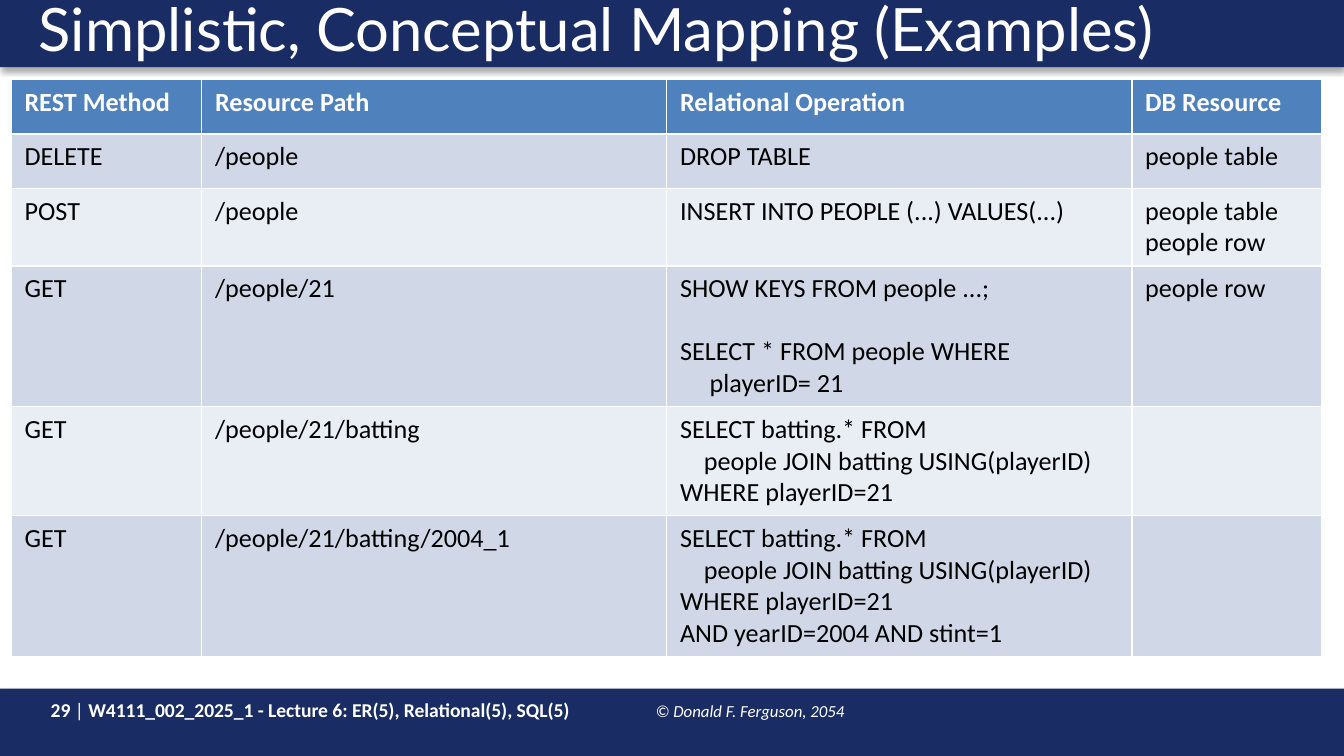
from dataclasses import dataclass

from lxml import etree
from pptx import Presentation
from pptx.dml.color import RGBColor as RGB
from pptx.enum.shapes import MSO_SHAPE as Shape
from pptx.enum.text import MSO_ANCHOR as Anchor
from pptx.oxml.ns import qn
from pptx.util import Cm, Pt


@dataclass(frozen=True)
class Theme:
    navy: RGB = RGB.from_string("1A2C64")
    white: RGB = RGB.from_string("FFFFFF")
    black: RGB = RGB.from_string("000000")
    header: RGB = RGB.from_string("4F81BD")
    bands: tuple = (RGB.from_string("D0D8E8"), RGB.from_string("E9EDF4"))
    title_font: str = "Lato"
    body_font: str = "Calibri"
    title_size: Pt = Pt(32)
    table_size: Pt = Pt(14)
    footer_size: Pt = Pt(10.5)
    credit_size: Pt = Pt(9)


THEME = Theme()
WIDTH, HEIGHT = Cm(25.4), Cm(14.28)
BAR_HEIGHT = Cm(1.27)
COLUMN_WIDTHS = (3.6, 8.79, 8.79, 3.6)
ROW_HEIGHTS = (1.03, 1.03, 1.46, 2.66, 2.06, 2.66)
HEADINGS = ("REST Method", "Resource Path", "Relational Operation", "DB Resource")


@dataclass(frozen=True)
class Line:
    """One line of a cell, with its indent in cm and the space above it."""
    text: str
    indent: float = 0
    space_before: Pt = Pt(0)


BATTING_JOIN = (
    "SELECT batting.* FROM",
    Line("people JOIN batting USING(playerID)", indent=0.45),
    "WHERE playerID=21",
)
KEY_LOOKUP = (
    "SHOW KEYS FROM people ...;",
    Line("SELECT * FROM people WHERE", space_before=Pt(17)),
    Line("playerID= 21", indent=0.56),
)
MAPPINGS = (
    ("DELETE", "/people", ("DROP TABLE",), ("people table",)),
    ("POST", "/people", ("INSERT INTO PEOPLE (...) VALUES(...)",),
     ("people table", "people row")),
    ("GET", "/people/21", KEY_LOOKUP, ("people row",)),
    ("GET", "/people/21/batting", BATTING_JOIN, ()),
    ("GET", "/people/21/batting/2004_1",
     BATTING_JOIN + ("AND yearID=2004 AND stint=1",), ()),
)


def style(font, name, size, color, bold=False):
    font.name, font.size, font.bold = name, size, bold
    font.color.rgb = color


def add_bar(slide, left, top, width, height):
    """Add a navy band with a soft shadow below it."""
    bar = slide.shapes.add_shape(Shape.RECTANGLE, left, top, width, height)
    bar.fill.solid()
    bar.fill.fore_color.rgb = THEME.navy
    bar.line.fill.background()
    bar.shadow.inherit = False
    effects = bar._element.spPr.find(qn("a:effectLst"))
    shadow = etree.SubElement(effects, qn("a:outerShdw"), blurRad=str(Pt(3.1)),
                              dist=str(Pt(1.8)), dir="5400000", rotWithShape="0")
    color = etree.SubElement(shadow, qn("a:srgbClr"), val=str(THEME.black))
    etree.SubElement(color, qn("a:alpha"), val="35000")


def add_text_frame(slide, left, top, width, height):
    frame = slide.shapes.add_textbox(left, top, width, height).text_frame
    frame.word_wrap = True
    return frame


def add_header(slide, left, top, width, height):
    add_bar(slide, left, top, width, height)
    frame = add_text_frame(slide, left + Cm(0.48), top, width - Cm(1.32), height - Cm(0.05))
    frame.vertical_anchor = Anchor.MIDDLE
    title = frame.paragraphs[0]
    title.text = "Simplistic, Conceptual Mapping (Examples)"
    title.line_spacing = 0.9
    style(title.font, THEME.title_font, THEME.title_size, THEME.white)


def add_footer(slide, left, top, width, height):
    add_bar(slide, left, top, width, height)
    frame = add_text_frame(slide, left + Cm(0.71), top + Cm(0.05), Cm(18.85), Cm(0.71))
    footer = frame.paragraphs[0]
    parts = (
        ("29 ", True),
        ("|", False),
        (" W4111_002_2025_1 - Lecture 6: ER(5), Relational(5), SQL(5)\t\t", True),
    )
    for text, bold in parts:
        run = footer.add_run()
        run.text = text
        style(run.font, THEME.body_font, THEME.footer_size, THEME.white, bold)
    credit = footer.add_run()
    credit.text = "© Donald F. Ferguson, 2054"
    style(credit.font, THEME.body_font, THEME.credit_size, THEME.white)
    credit.font.italic = True


def fill_cell(cell, lines, fill, color, bold=False):
    cell.fill.solid()
    cell.fill.fore_color.rgb = fill
    frame = cell.text_frame
    for number, line in enumerate(lines or ("",)):
        line = line if isinstance(line, Line) else Line(line)
        paragraph = frame.add_paragraph() if number else frame.paragraphs[0]
        paragraph.text = line.text
        paragraph.space_before = line.space_before
        if line.indent:
            paragraph._p.get_or_add_pPr().set("marL", str(Cm(line.indent)))
        style(paragraph.font, THEME.body_font, THEME.table_size, color, bold)


def add_mapping_table(slide, left, top, width, height):
    table = slide.shapes.add_table(len(ROW_HEIGHTS), len(COLUMN_WIDTHS),
                                   left, top, width, height).table
    for column, column_width in zip(table.columns, COLUMN_WIDTHS):
        column.width = Cm(column_width)
    for row, row_height in zip(table.rows, ROW_HEIGHTS):
        row.height = Cm(row_height)
    for cell, heading in zip(table.rows[0].cells, HEADINGS):
        fill_cell(cell, (heading,), THEME.header, THEME.white, bold=True)
    for number, (method, route, operation, resource) in enumerate(MAPPINGS):
        contents = ((method,), (route,), operation, resource)
        for cell, lines in zip(table.rows[number + 1].cells, contents):
            fill_cell(cell, lines, THEME.bands[number % 2], THEME.black)


def main():
    deck = Presentation()
    deck.slide_width, deck.slide_height = WIDTH, HEIGHT
    slide = deck.slides.add_slide(deck.slide_layouts[6])
    add_footer(slide, 0, HEIGHT - BAR_HEIGHT, WIDTH, BAR_HEIGHT)
    add_header(slide, 0, 0, WIDTH, BAR_HEIGHT)
    add_mapping_table(slide, Cm(0.21), Cm(1.5),
                      Cm(sum(COLUMN_WIDTHS)), Cm(sum(ROW_HEIGHTS)))
    deck.save("out.pptx")


if __name__ == "__main__":
    main()
